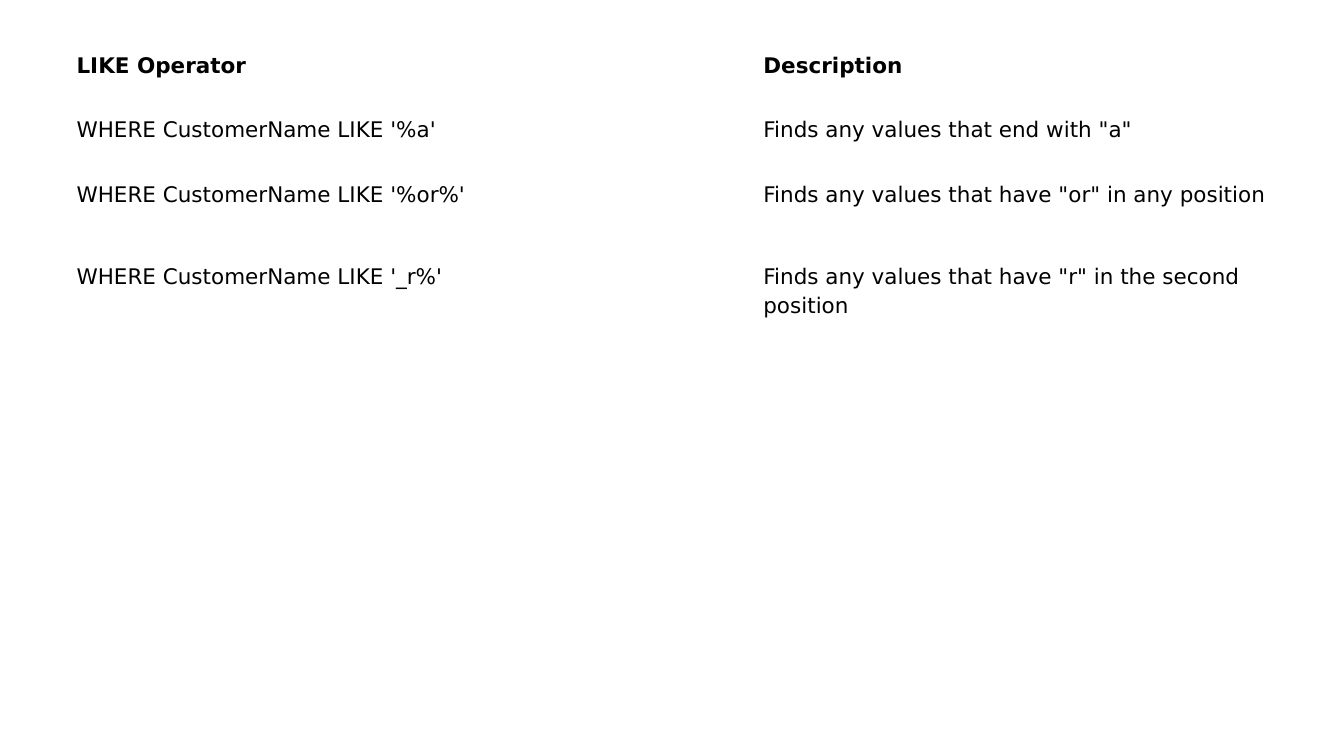
from pptx import Presentation
from pptx.dml.color import RGBColor
from pptx.enum.text import MSO_ANCHOR
from pptx.util import Pt

PX = 4572  # EMU per px, 200 px to the inch
BLACK = RGBColor(0x00, 0x00, 0x00)
WHITE = RGBColor(0xFF, 0xFF, 0xFF)
FONT = "DejaVu Sans"

COLUMN_WIDTHS = (1040, 812)
ROW_HEIGHTS = (96, 96, 122, 122)
CELL_MARGIN = 16
FIRST_COLUMN_MARGIN = 34

OPERATOR_ROWS = (
    ("LIKE Operator", "Description"),
    ("WHERE CustomerName LIKE '%a'", 'Finds any values that end with "a"'),
    ("WHERE CustomerName LIKE '%or%'",
     'Finds any values that have "or" in any position'),
    ("WHERE CustomerName LIKE '_r%'",
     'Finds any values that have "r" in the second position'),
)


def write_text(text_frame, text, size=11.5, color=BLACK, bold=False, spacing=1.15):
    paragraph = text_frame.paragraphs[0]
    paragraph.line_spacing = spacing
    run = paragraph.add_run()
    run.text = text
    run.font.name = FONT
    run.font.size = Pt(size)
    run.font.bold = bold
    run.font.color.rgb = color


def format_cell(cell, left_margin):
    cell.fill.solid()
    cell.fill.fore_color.rgb = WHITE
    cell.vertical_anchor = MSO_ANCHOR.TOP
    cell.margin_left = left_margin * PX
    cell.margin_top = cell.margin_right = cell.margin_bottom = CELL_MARGIN * PX


def add_operator_table(slide, left, top):
    frame = slide.shapes.add_table(
        len(ROW_HEIGHTS), len(COLUMN_WIDTHS), left * PX, top * PX,
        sum(COLUMN_WIDTHS) * PX, sum(ROW_HEIGHTS) * PX)
    table = frame.table
    table.first_row = table.horz_banding = False
    for column, width in zip(table.columns, COLUMN_WIDTHS):
        column.width = width * PX
    for row, height in zip(table.rows, ROW_HEIGHTS):
        row.height = height * PX

    # Header row is bold, the rest is plain
    for row_index, texts in enumerate(OPERATOR_ROWS):
        for column_index, text in enumerate(texts):
            cell = table.cell(row_index, column_index)
            format_cell(cell, CELL_MARGIN if column_index else FIRST_COLUMN_MARGIN)
            write_text(cell.text_frame, text, bold=row_index == 0)


def main():
    presentation = Presentation()
    presentation.slide_width = 2000 * PX
    presentation.slide_height = 1125 * PX
    slide = presentation.slides.add_slide(presentation.slide_layouts[6])
    slide.background.fill.solid()
    slide.background.fill.fore_color.rgb = WHITE
    add_operator_table(slide, 80, 58)
    presentation.save("out.pptx")


if __name__ == "__main__":
    main()
